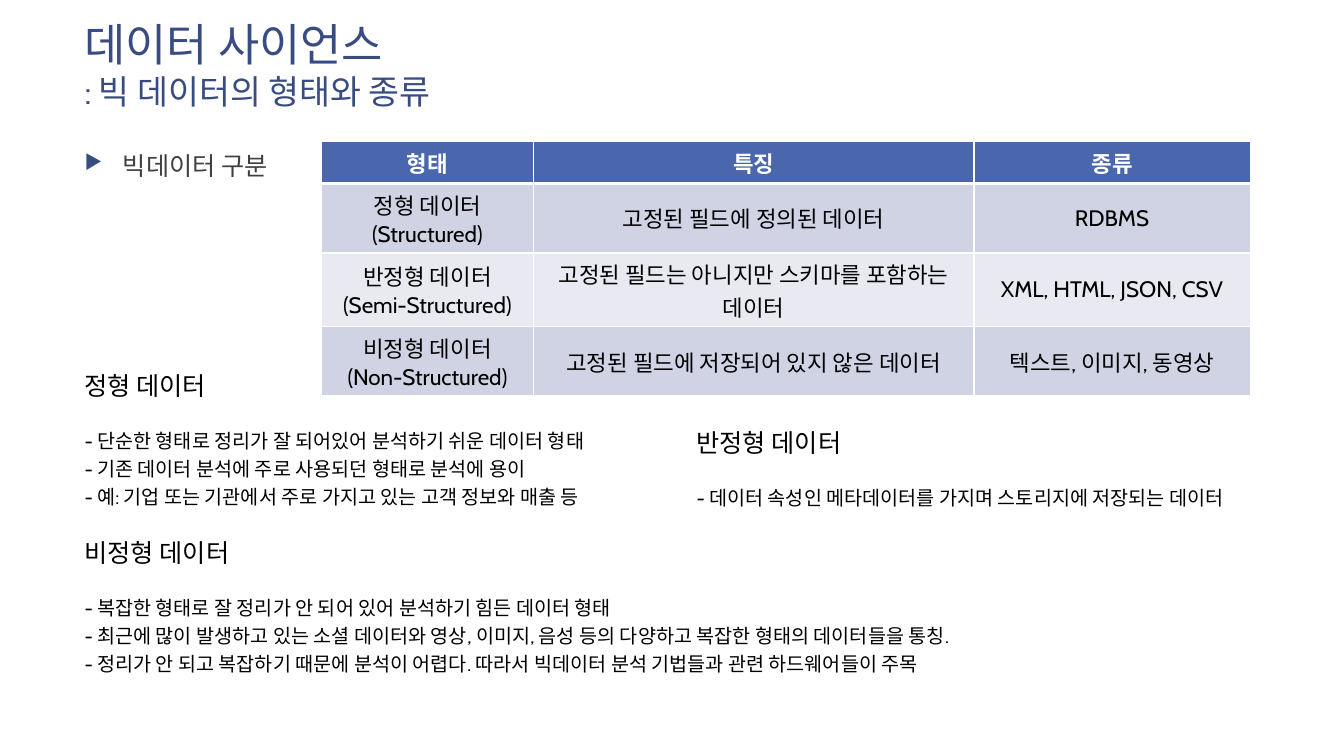
from dataclasses import dataclass

from lxml.etree import SubElement
from pptx import Presentation
from pptx.dml.color import RGBColor
from pptx.enum.text import MSO_ANCHOR, MSO_AUTO_SIZE, PP_ALIGN
from pptx.oxml.ns import qn
from pptx.util import Inches, Pt


@dataclass(frozen=True)
class Theme:
    font: str = "Cabin"
    title: str = "384C81"
    body: str = "404040"
    text: str = "000000"
    white: str = "FFFFFF"
    header: str = "4A66AC"
    bands: tuple = ("D0D3E3", "E9EAF1")
    title_size: int = 32
    subtitle_size: int = 24
    heading_size: int = 18
    table_size: int = 16
    item_size: int = 14


class SlideBuilder:
    def __init__(self, prs, theme):
        self.theme = theme
        self.s = prs.slides.add_slide(prs.slide_layouts[6])

    def run(self, p, text, size, color, bold=False):
        r = p.add_run()
        r.text = text
        r.font.name = self.theme.font
        r.font.size = Pt(size)
        r.font.bold = bold
        r.font.color.rgb = RGBColor.from_string(color)

    def box(self, x, y, w, h, wrap=True):
        tf = self.s.shapes.add_textbox(Inches(x), Inches(y), Inches(w), Inches(h)).text_frame
        tf.word_wrap = wrap
        return tf

    def title(self, x, y, w, h, title, subtitle):
        t = self.theme
        p = self.box(x, y, w, h).paragraphs[0]
        self.run(p, title, t.title_size, t.title)
        p.add_line_break()
        self.run(p, subtitle, t.subtitle_size, t.title)

    def bullet(self, x, y, w, h, text):
        t = self.theme
        p = self.box(x, y, w, h).paragraphs[0]
        pPr = p._p.get_or_add_pPr()
        pPr.set("marL", str(Inches(0.38)))
        pPr.set("indent", str(Inches(-0.38)))
        color = SubElement(pPr, qn("a:buClr"))
        SubElement(color, qn("a:srgbClr"), val=t.title)
        SubElement(pPr, qn("a:buSzPct"), val="80000")
        SubElement(pPr, qn("a:buChar"), char="▶")
        self.run(p, text, t.heading_size, t.body)

    def section(self, x, y, w, h, heading, items):
        t = self.theme
        tf = self.box(x, y, w, h, wrap=False)
        tf.auto_size = MSO_AUTO_SIZE.SHAPE_TO_FIT_TEXT
        p = tf.paragraphs[0]
        p.space_after = Pt(17)
        self.run(p, heading, t.heading_size, t.text)
        for item in items:
            p = tf.add_paragraph()
            p.line_spacing = 1.2
            self.run(p, f"- {item}", t.item_size, t.text)

    def borders(self, cell, top, bottom):
        tcPr = cell._tc.get_or_add_tcPr()
        for side, width in (("L", 1), ("R", 1), ("T", top), ("B", bottom)):
            ln = SubElement(tcPr, qn(f"a:ln{side}"), w=str(Pt(width)))
            fill = SubElement(ln, qn("a:solidFill"))
            SubElement(fill, qn("a:srgbClr"), val=self.theme.white)

    def table(self, x, y, widths, heights, rows):
        t = self.theme
        frame = self.s.shapes.add_table(
            len(rows), len(widths), Inches(x), Inches(y),
            Inches(sum(widths)), Inches(sum(heights)))
        table = frame.table
        for column, width in zip(table.columns, widths):
            column.width = Inches(width)
        for i, (values, height) in enumerate(zip(rows, heights)):
            table.rows[i].height = Inches(height)
            header = i == 0
            fill = t.header if header else t.bands[(i - 1) % 2]
            for j, value in enumerate(values):
                cell = table.cell(i, j)
                self.borders(cell, 3 if i == 1 else 1, 3 if header else 1)
                cell.fill.solid()
                cell.fill.fore_color.rgb = RGBColor.from_string(fill)
                cell.vertical_anchor = MSO_ANCHOR.MIDDLE
                tf = cell.text_frame
                for k, line in enumerate(value.split("\n")):
                    p = tf.add_paragraph() if k else tf.paragraphs[0]
                    p.alignment = PP_ALIGN.CENTER
                    self.run(p, line, t.table_size, t.white if header else t.text, header)


def main():
    prs = Presentation()
    prs.slide_width, prs.slide_height = Inches(13.33), Inches(7.5)
    slide = SlideBuilder(prs, Theme())
    left = 0.74
    slide.title(left, 0.12, 9.4, 1.32, "데이터 사이언스", ": 빅 데이터의 형태와 종류")
    slide.table(3.19, 1.4, (2.1, 4.37, 2.74), (0.42, 0.69, 0.73, 0.69), (
        ("형태", "특징", "종류"),
        ("정형 데이터\n(Structured)", "고정된 필드에 정의된 데이터", "RDBMS"),
        ("반정형 데이터\n(Semi-Structured)", "고정된 필드는 아니지만 스키마를 포함하는 데이터",
         "XML, HTML, JSON, CSV"),
        ("비정형 데이터\n(Non-Structured)", "고정된 필드에 저장되어 있지 않은 데이터",
         "텍스트, 이미지, 동영상"),
    ))
    slide.bullet(left, 1.44, 9.4, 5.16, "빅데이터 구분")
    slide.section(left, 3.62, 5.78, 1.46, "정형 데이터", (
        "단순한 형태로 정리가 잘 되어있어 분석하기 쉬운 데이터 형태",
        "기존 데이터 분석에 주로 사용되던 형태로 분석에 용이",
        "예: 기업 또는 기관에서 주로 가지고 있는 고객 정보와 매출 등",
    ))
    slide.section(6.81, 4.19, 5.99, 0.89, "반정형 데이터", (
        "데이터 속성인 메타데이터를 가지며 스토리지에 저장되는 데이터",
    ))
    slide.section(left, 5.28, 9.83, 1.46, "비정형 데이터", (
        "복잡한 형태로 잘 정리가 안 되어 있어 분석하기 힘든 데이터 형태",
        "최근에 많이 발생하고 있는 소셜 데이터와 영상, 이미지, 음성 등의 다양하고 복잡한 형태의 데이터들을 통칭.",
        "정리가 안 되고 복잡하기 때문에 분석이 어렵다. 따라서 빅데이터 분석 기법들과 관련 하드웨어들이 주목",
    ))
    prs.save("out.pptx")


if __name__ == "__main__":
    main()
